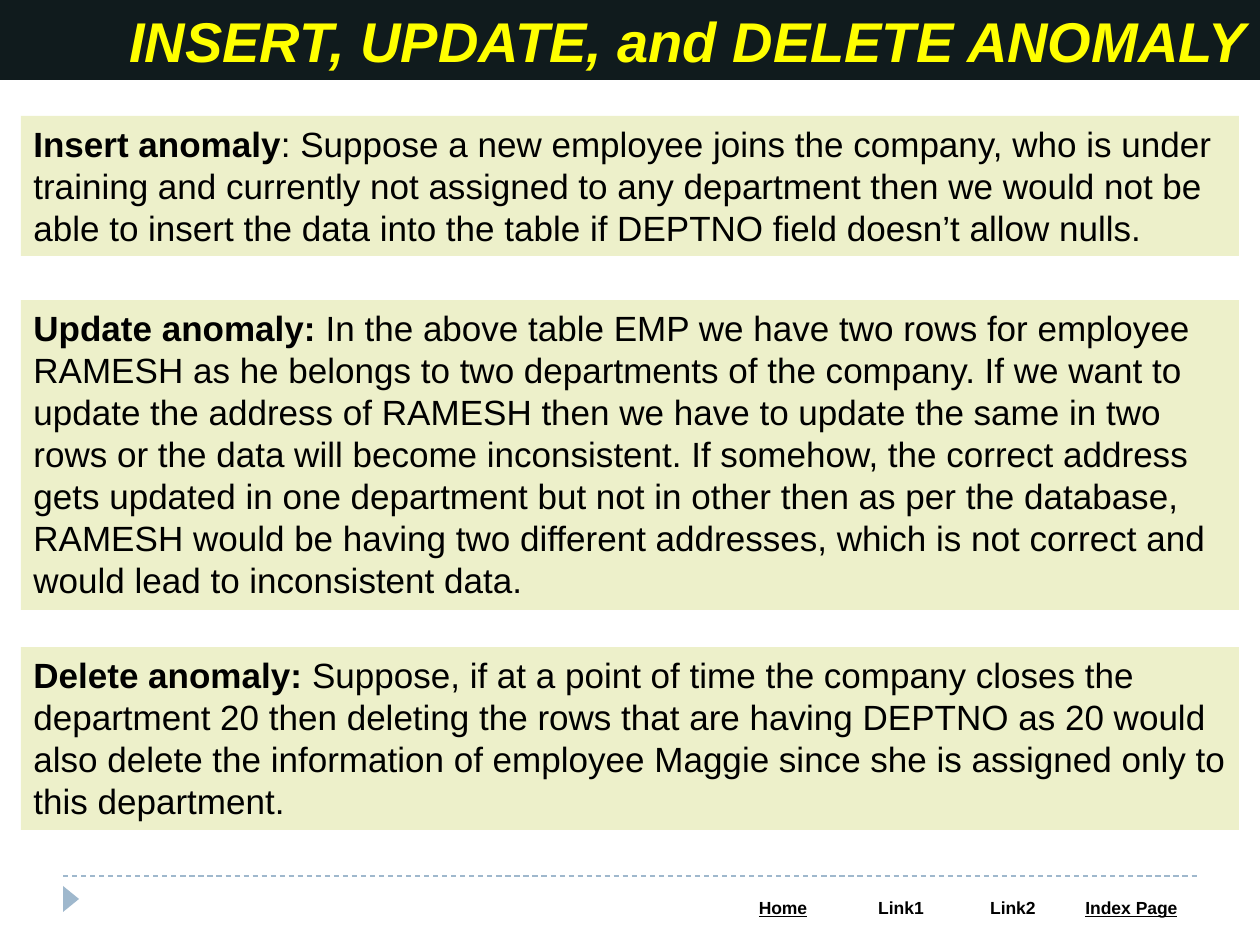
from typing import NamedTuple

from pptx import Presentation
from pptx.dml.color import RGBColor
from pptx.enum.dml import MSO_LINE_DASH_STYLE as Dash
from pptx.enum.shapes import MSO_CONNECTOR as Connector, MSO_SHAPE as Shape
from pptx.enum.text import MSO_ANCHOR as Anchor, PP_ALIGN as Align
from pptx.oxml.ns import qn
from pptx.util import Emu, Pt

PX_PER_INCH = 126
FONT = "Arial"
WHITE = RGBColor(0xFF, 0xFF, 0xFF)
BLACK = RGBColor(0, 0, 0)
YELLOW = RGBColor(0xFF, 0xFF, 0)
DARK = RGBColor(0x10, 0x1B, 0x1D)
CREAM = RGBColor(0xED, 0xF0, 0xCA)
BLUE = RGBColor(0x9F, 0xB8, 0xCD)


class Box(NamedTuple):
    left: int
    top: int
    width: int
    height: int


class Anomaly(NamedTuple):
    top: int
    height: int
    term: str
    explanation: str


class Link(NamedTuple):
    label: str
    width: int
    underlined: bool


ANOMALIES = [
    Anomaly(116, 140, "Insert anomaly",
            ": Suppose a new employee joins the company, who is under training and "
            "currently not assigned to any department then we would not be able to "
            "insert the data into the table if DEPTNO field doesn’t allow nulls."),
    Anomaly(300, 310, "Update anomaly: ",
            "In the above table EMP we have two rows for employee RAMESH as he belongs "
            "to two departments of the company. If we want to update the address of "
            "RAMESH then we have to update the same in two rows or the data will become "
            "inconsistent. If somehow, the correct address gets updated in one "
            "department but not in other then as per the database, RAMESH would be "
            "having two different addresses, which is not correct and would lead to "
            "inconsistent data."),
    Anomaly(647, 183, "Delete anomaly: ",
            "Suppose, if at a point of time the company closes the department 20 then "
            "deleting the rows that are having DEPTNO as 20 would also delete the "
            "information of employee Maggie since she is assigned only to this "
            "department."),
]
LINKS = [
    Link("Home", 118, True),
    Link("Link1", 118, False),
    Link("Link2", 106, False),
    Link("Index Page", 131, True),
]


def px(length: int) -> Emu:
    return Emu(round(length * 914400 / PX_PER_INCH))


def add_filled(slide, kind: Shape, box: Box, color: RGBColor):
    shape = slide.shapes.add_shape(kind, *map(px, box))
    shape.shadow.inherit = False
    shape.fill.solid()
    shape.fill.fore_color.rgb = color
    shape.line.fill.background()
    return shape


def style_font(font, size: int, color: RGBColor) -> None:
    font.name = FONT
    font.size = Pt(size)
    font.color.rgb = color


def add_panel(slide, box: Box, color: RGBColor, anchor: Anchor):
    """Add a filled rectangle and return its first paragraph."""
    frame = add_filled(slide, Shape.RECTANGLE, box, color).text_frame
    frame.word_wrap = True
    frame.vertical_anchor = anchor
    return frame.paragraphs[0]


def add_title(slide) -> None:
    title = add_panel(slide, Box(0, 0, 1260, 80), DARK, Anchor.MIDDLE)
    title.text = "INSERT, UPDATE, and DELETE ANOMALY"
    title.alignment = Align.RIGHT
    style_font(title.font, 32, YELLOW)
    title.font.bold = True
    title.font.italic = True


def add_anomaly(slide, anomaly: Anomaly) -> None:
    box = Box(21, anomaly.top, 1218, anomaly.height)
    paragraph = add_panel(slide, box, CREAM, Anchor.TOP)
    paragraph.alignment = Align.LEFT
    style_font(paragraph.font, 20, BLACK)
    term = paragraph.add_run()
    term.text = anomaly.term
    term.font.bold = True
    paragraph.add_run().text = anomaly.explanation


def add_footer_rule(slide) -> None:
    rule = slide.shapes.add_connector(
        Connector.STRAIGHT, px(63), px(876), px(1197), px(876))
    rule.line.color.rgb = BLUE
    rule.line.width = Pt(0.75)
    rule.line.dash_style = Dash.DASH
    properties = rule._element.spPr
    properties.append(properties.makeelement(qn("a:effectLst"), {}))


def add_links(slide) -> None:
    width = sum(link.width for link in LINKS)
    box = Box(1197 - width, 892, width, 34)
    table = slide.shapes.add_table(1, len(LINKS), *map(px, box)).table
    table.horz_banding = False
    for column, cell, link in zip(table.columns, table.rows[0].cells, LINKS):
        column.width = px(link.width)
        cell.fill.solid()
        cell.fill.fore_color.rgb = WHITE
        label = cell.text_frame.paragraphs[0]
        label.text = link.label
        label.alignment = Align.CENTER
        style_font(label.font, 10, BLACK)
        label.font.bold = True
        label.font.underline = link.underlined


def main() -> None:
    deck = Presentation()
    deck.slide_width, deck.slide_height = px(1260), px(945)
    slide = deck.slides.add_slide(deck.slide_layouts[6])
    marker = add_filled(slide, Shape.ISOSCELES_TRIANGLE, Box(58, 891, 26, 16), BLUE)
    marker.rotation = 90
    add_footer_rule(slide)
    add_links(slide)
    add_title(slide)
    for anomaly in ANOMALIES:
        add_anomaly(slide, anomaly)
    deck.save("out.pptx")


if __name__ == "__main__":
    main()
